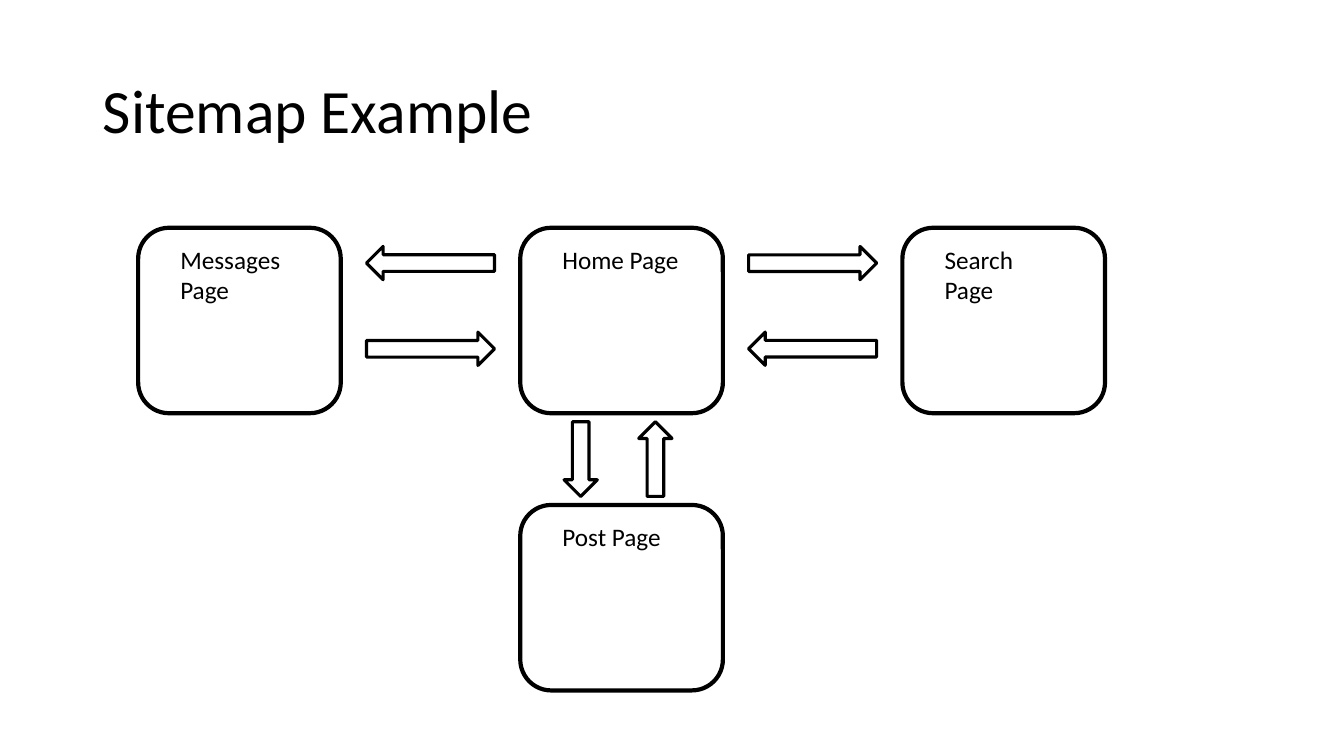
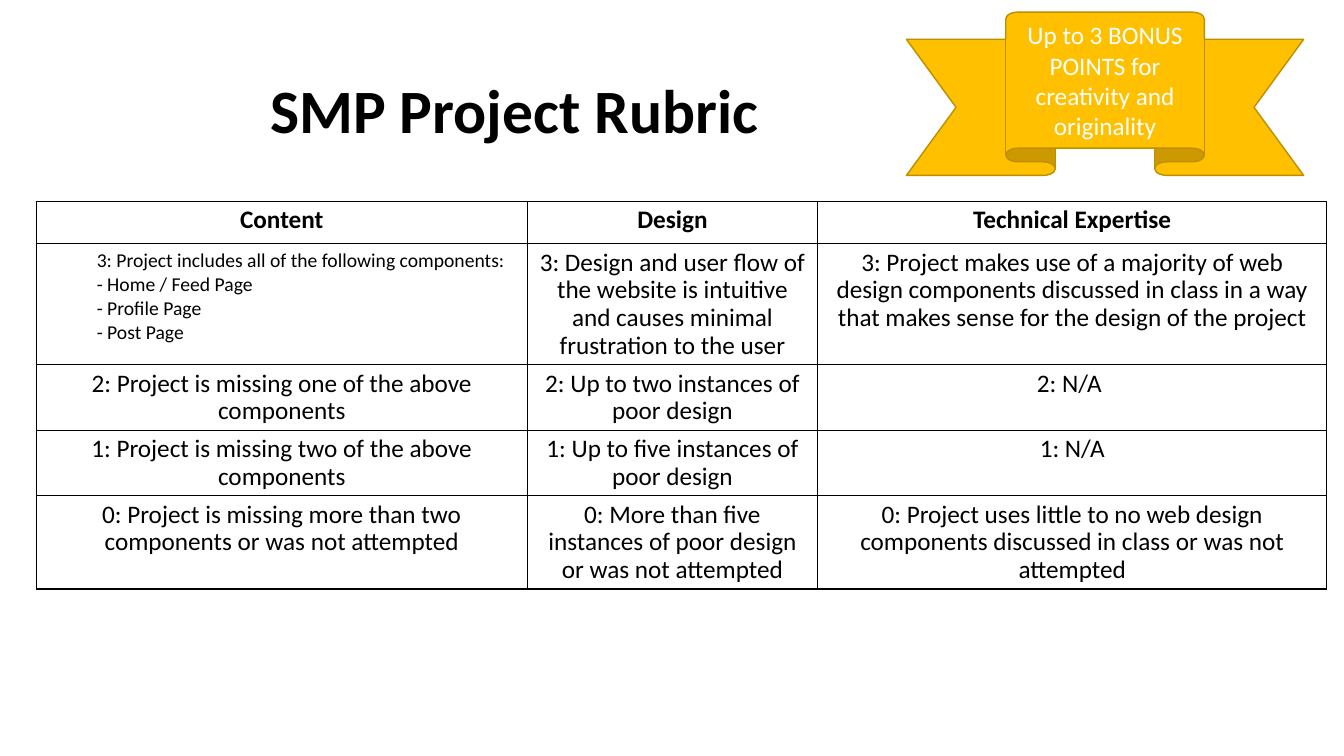
"""Build a sitemap diagram and a project rubric."""
import pptx
import pptx.util
import pptx.dml.color
import pptx.enum.shapes
import pptx.enum.text
import pptx.oxml
import pptx.oxml.ns
from pptx.util import Inches

COLORS = {"ink": "000000", "paper": "FFFFFF", "gold": "FFC000", "gold_edge": "BD8E00"}
FONT = "Calibri"
SHAPES = pptx.enum.shapes.MSO_SHAPE
ALIGN = pptx.enum.text.PP_ALIGN
ANCHOR = pptx.enum.text.MSO_ANCHOR
AUTO_SIZE = pptx.enum.text.MSO_AUTO_SIZE


def rgb(name):
    """Return the named colour."""
    return pptx.dml.color.RGBColor.from_string(COLORS[name])


def write_text(frame, text, size=18, color="ink", bold=False, align=ALIGN.LEFT,
               spacing=None, level=0):
    """Fill a text frame, one paragraph a line, in one format."""
    frame.word_wrap = True
    for index, line in enumerate(text.split("\n")):
        paragraph = frame.add_paragraph() if index else frame.paragraphs[0]
        paragraph.alignment = align
        paragraph.level = level
        if spacing:
            paragraph.line_spacing = spacing
        if level:
            properties = paragraph._p.get_or_add_pPr()
            properties.set("marL", str(Inches(0.5 * level)))
            properties.set("indent", "0")
        run = paragraph.add_run()
        run.text = line
        run.font.name = FONT
        run.font.size = pptx.util.Pt(size)
        run.font.bold = bold
        run.font.color.rgb = rgb(color)


def add_borders(cell, color="ink", width=1):
    """Draw a line on all four sides of a table cell."""
    properties = cell._tc.get_or_add_tcPr()
    for index, side in enumerate(("lnL", "lnR", "lnT", "lnB")):
        properties.insert(index, pptx.oxml.parse_xml(
            f'<a:{side} {pptx.oxml.ns.nsdecls("a")} w="{pptx.util.Pt(width)}">'
            f'<a:solidFill><a:srgbClr val="{COLORS[color]}"/></a:solidFill></a:{side}>'))


class Deck:
    """Hold the presentation, its style and the current slide."""

    def __init__(self):
        """Start a widescreen presentation."""
        self.presentation = pptx.Presentation()
        self.presentation.slide_width = Inches(13.33)
        self.presentation.slide_height = Inches(7.5)
        self.slide = None

    def add_slide(self, title, left=0.92, bold=False):
        """Add a slide with a title."""
        self.slide = self.presentation.slides.add_slide(self.presentation.slide_layouts[5])
        shape = self.slide.shapes.title
        shape.left, shape.top = Inches(left), Inches(0.4)
        shape.width, shape.height = Inches(11.5), Inches(1.45)
        shape.text_frame.auto_size = AUTO_SIZE.NONE
        shape.text_frame.vertical_anchor = ANCHOR.MIDDLE
        write_text(shape.text_frame, title, size=44, bold=bold, spacing=0.9)

    def add_shape(self, kind, left, top, width, height, fill="paper", line="ink",
                  line_width=1, rotation=0):
        """Add an outlined preset shape."""
        shape = self.slide.shapes.add_shape(
            kind, Inches(left), Inches(top), Inches(width), Inches(height))
        shape.shadow.inherit = False
        shape.fill.solid()
        shape.fill.fore_color.rgb = rgb(fill)
        shape.line.color.rgb = rgb(line)
        shape.line.width = pptx.util.Pt(line_width)
        shape.rotation = rotation
        return shape

    def add_label(self, text, left, top, width, height):
        """Add a text box that grows with its text."""
        box = self.slide.shapes.add_textbox(
            Inches(left), Inches(top), Inches(width), Inches(height))
        box.text_frame.auto_size = AUTO_SIZE.SHAPE_TO_FIT_TEXT
        write_text(box.text_frame, text)

    def add_arrow(self, center_x, center_y, length, rotation=0):
        """Add a block arrow, pointing left before it is turned."""
        thickness = 0.33
        self.add_shape(SHAPES.LEFT_ARROW, center_x - length / 2, center_y - thickness / 2,
                       length, thickness, line_width=2.25, rotation=rotation)

    def add_table(self, rows, left, top, widths, row_height):
        """Add a ruled table with a bold first row."""
        table = self.slide.shapes.add_table(
            len(rows), len(widths), Inches(left), Inches(top),
            Inches(sum(widths)), Inches(row_height * len(rows))).table
        table.first_row = table.horz_banding = False
        for column, width in zip(table.columns, widths):
            column.width = Inches(width)
        for row_index, row in enumerate(rows):
            for column_index, text in enumerate(row):
                cell = table.cell(row_index, column_index)
                cell.fill.background()
                add_borders(cell)
                if "\n" in text:
                    write_text(cell.text_frame, text, size=14, level=1)
                else:
                    write_text(cell.text_frame, text, bold=row_index == 0,
                               align=ALIGN.CENTER, spacing=0.9)


def build_sitemap(deck):
    """Draw the pages and the arrows between them."""
    deck.add_slide("Sitemap Example")
    width, height = 2.01, 1.84
    left, top, column_step, row_step = 1.37, 2.26, 3.79, 2.75
    pages = [("Home Page", 1, 0, 0.4), ("Messages Page", 0, 0, 0.71),
             ("Search Page", 2, 0, 0.71), ("Post Page", 1, 1, 0.4)]
    for name, column, row, label_height in pages:
        page_left, page_top = left + column * column_step, top + row * row_step
        deck.add_shape(SHAPES.ROUNDED_RECTANGLE, page_left, page_top, width, height,
                       line_width=3)
        deck.add_label(name, page_left + 0.32, page_top + 0.11, 1.37, label_height)

    upper, lower = top + 0.35, top + 1.2
    for gap, outward, inward in ((0, 0, 180), (1, 180, 0)):
        center_x = left + (width + column_step) / 2 + gap * column_step
        deck.add_arrow(center_x, upper, 1.27, outward)
        deck.add_arrow(center_x, lower, 1.27, inward)
    center_y = top + (height + row_step) / 2
    for center_x, rotation in ((5.76, 270), (6.5, 90)):
        deck.add_arrow(center_x, center_y, 0.74, rotation)


def build_rubric(deck):
    """Set the scoring table and the bonus ribbon."""
    deck.add_slide("SMP Project Rubric", left=2.58, bold=True)
    rows = [
        ("Content", "Design", "Technical Expertise"),
        ("3: Project includes all of the following components:\n"
         "- Home / Feed Page\n- Profile Page\n- Post Page",
         "3: Design and user flow of the website is intuitive and causes minimal "
         "frustration to the user",
         "3: Project makes use of a majority of web design components discussed in "
         "class in a way that makes sense for the design of the project"),
        ("2: Project is missing one of the above components",
         "2: Up to two instances of poor design", "2: N/A "),
        ("1: Project is missing two of the above components",
         "1: Up to five instances of poor design", "1: N/A"),
        ("0: Project is missing more than two components or was not attempted",
         "0: More than five instances of poor design or was not attempted",
         "0: Project uses little to no web design components discussed in class or "
         "was not attempted"),
    ]
    deck.add_table(rows, 0.36, 2, (4.87, 2.88, 5.05), 0.42)
    ribbon = deck.add_shape(SHAPES.UP_RIBBON, 8.99, 0.12, 3.94, 1.62,
                            fill="gold", line="gold_edge")
    ribbon.text_frame.vertical_anchor = ANCHOR.MIDDLE
    write_text(ribbon.text_frame, "Up to 3 BONUS POINTS for creativity and originality",
               color="paper", align=ALIGN.CENTER)


deck = Deck()
build_sitemap(deck)
build_rubric(deck)
deck.presentation.save("out.pptx")
